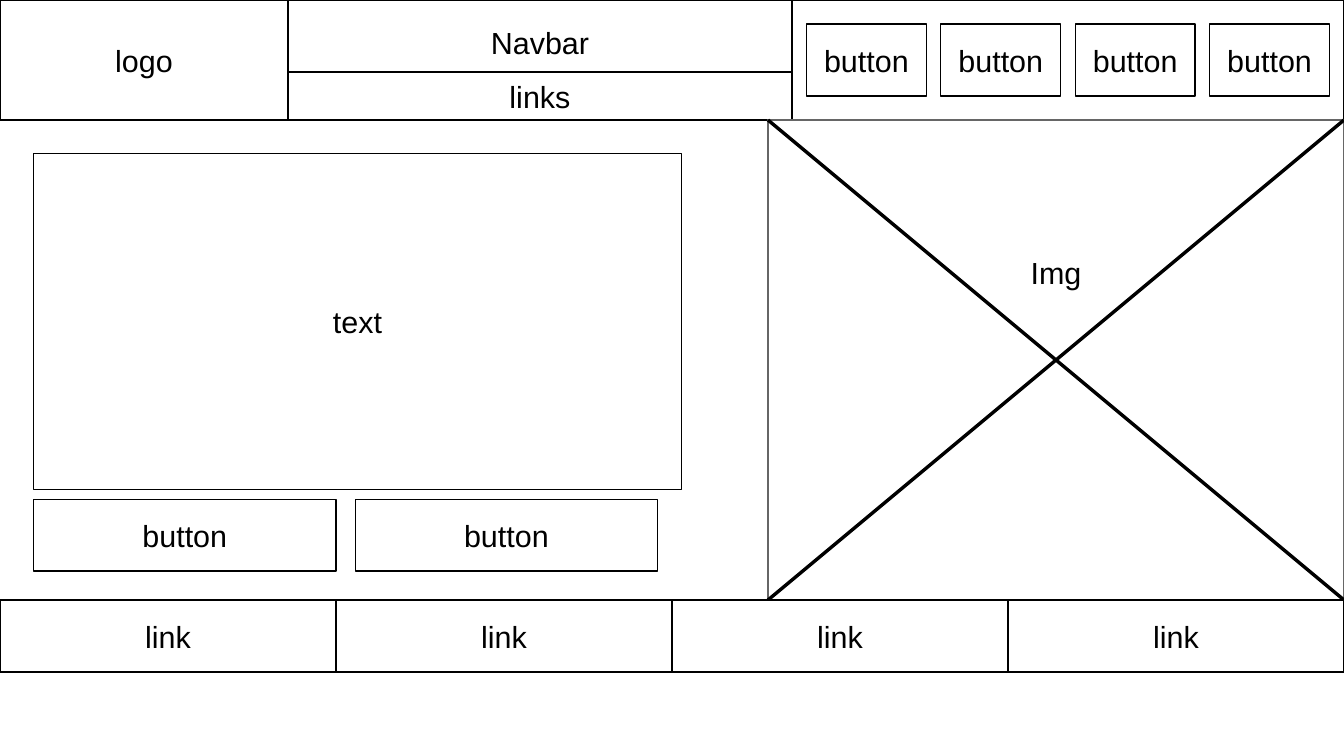
from lxml import etree
from pptx import Presentation
from pptx.dml.color import RGBColor
from pptx.enum.shapes import MSO_CONNECTOR, MSO_SHAPE
from pptx.enum.text import MSO_ANCHOR, PP_ALIGN
from pptx.oxml.ns import qn
from pptx.util import Cm, Pt

RECTANGLE = MSO_SHAPE.RECTANGLE
STRAIGHT = MSO_CONNECTOR.STRAIGHT
MIDDLE = MSO_ANCHOR.MIDDLE
CENTER = PP_ALIGN.CENTER

BLACK = RGBColor(0x00, 0x00, 0x00)
GREY = RGBColor(0x66, 0x66, 0x66)
WHITE = RGBColor(0xFF, 0xFF, 0xFF)

SLIDE_WIDTH, SLIDE_HEIGHT = 28, 15.75
HEADER_HEIGHT, MAIN_HEIGHT, FOOTER_HEIGHT = 2.5, 10, 1.5
BUTTON_HEIGHT = 1.5
INSET = 0.13


def add_box(slide, left, top, width, height, label="", line_color=BLACK, bottom_inset=INSET):
    shape = slide.shapes.add_shape(RECTANGLE, Cm(left), Cm(top), Cm(width), Cm(height))
    shape.shadow.inherit = False
    shape.fill.solid()
    shape.fill.fore_color.rgb = WHITE
    shape.line.color.rgb = line_color
    shape.line.width = Pt(0)
    if label:
        text_frame = shape.text_frame
        text_frame.text = label
        text_frame.word_wrap = True
        text_frame.vertical_anchor = MIDDLE
        text_frame.margin_top = Cm(INSET)
        text_frame.margin_bottom = Cm(bottom_inset)
        paragraph = text_frame.paragraphs[0]
        paragraph.alignment = CENTER
        font = paragraph.runs[0].font
        font.name = "Arial"
        font.size = Pt(18)
        font.color.rgb = BLACK


def add_line(slide, start_x, start_y, end_x, end_y):
    connector = slide.shapes.add_connector(
        STRAIGHT, Cm(start_x), Cm(start_y), Cm(end_x), Cm(end_y))
    connector.line.color.rgb = BLACK
    connector.line.width = Pt(0)
    etree.SubElement(connector._element.spPr, qn("a:effectLst"))


def add_row(slide, left, top, width, height, label, count, gap=0):
    for index in range(count):
        add_box(slide, left + index * (width + gap), top, width, height, label)


def add_header(slide, left, top, width, height):
    logo_width, navbar_width, links_height = 6, 10.5, 1
    navbar_left = left + logo_width
    add_box(slide, left, top, width, height)
    add_box(slide, left, top, logo_width, height, "logo")
    add_box(slide, navbar_left, top, navbar_width, height, "Navbar", bottom_inset=0.86)
    add_box(slide, navbar_left, top + height - links_height, navbar_width, links_height, "links")
    add_row(slide, navbar_left + navbar_width + 0.3, top + 0.5, 2.5, BUTTON_HEIGHT,
            "button", 4, 0.3)


def add_text_panel(slide, left, top):
    text_left, text_top, text_height = left + 0.7, top + 0.7, 7
    add_box(slide, text_left, text_top, 13.5, text_height, "text")
    add_row(slide, text_left, text_top + text_height + 0.2, 6.3, BUTTON_HEIGHT,
            "button", 2, 0.4)


def add_image_panel(slide, left, top, width, height):
    right, bottom = left + width, top + height
    add_box(slide, left, top, width, height, "Img", GREY, bottom_inset=3.8)
    add_line(slide, left, top, right, bottom)
    add_line(slide, left, bottom, right, top)


def add_footer(slide, left, top, width, height):
    link_count = 4
    add_box(slide, left, top, width, height)
    add_row(slide, left, top, width / link_count, height, "link", link_count)


def main():
    presentation = Presentation()
    presentation.slide_width = Cm(SLIDE_WIDTH)
    presentation.slide_height = Cm(SLIDE_HEIGHT)
    slide = presentation.slides.add_slide(presentation.slide_layouts[6])
    image_left = 16
    add_header(slide, 0, 0, SLIDE_WIDTH, HEADER_HEIGHT)
    add_text_panel(slide, 0, HEADER_HEIGHT)
    add_image_panel(slide, image_left, HEADER_HEIGHT, SLIDE_WIDTH - image_left, MAIN_HEIGHT)
    add_footer(slide, 0, HEADER_HEIGHT + MAIN_HEIGHT, SLIDE_WIDTH, FOOTER_HEIGHT)
    presentation.save("out.pptx")


if __name__ == "__main__":
    main()
